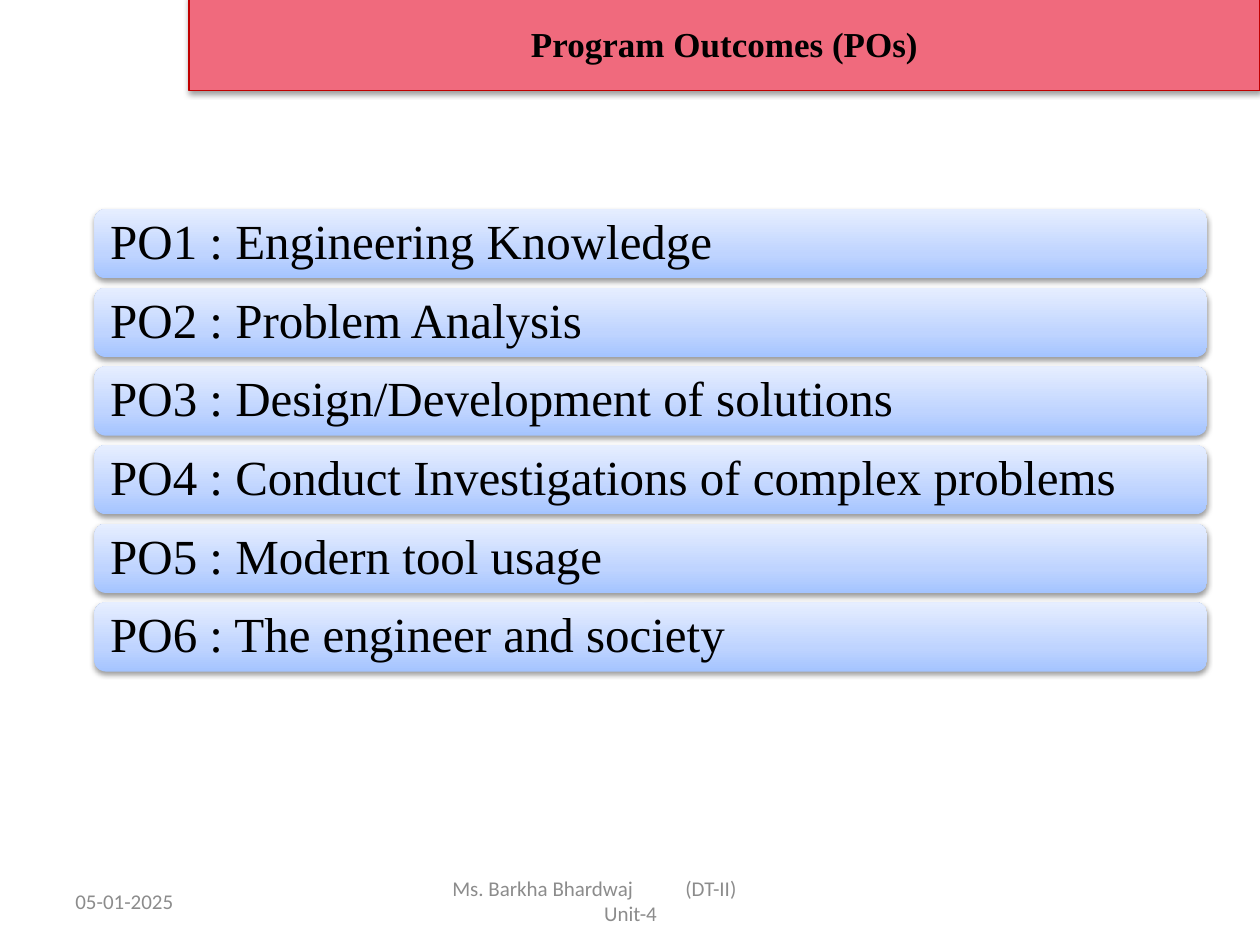
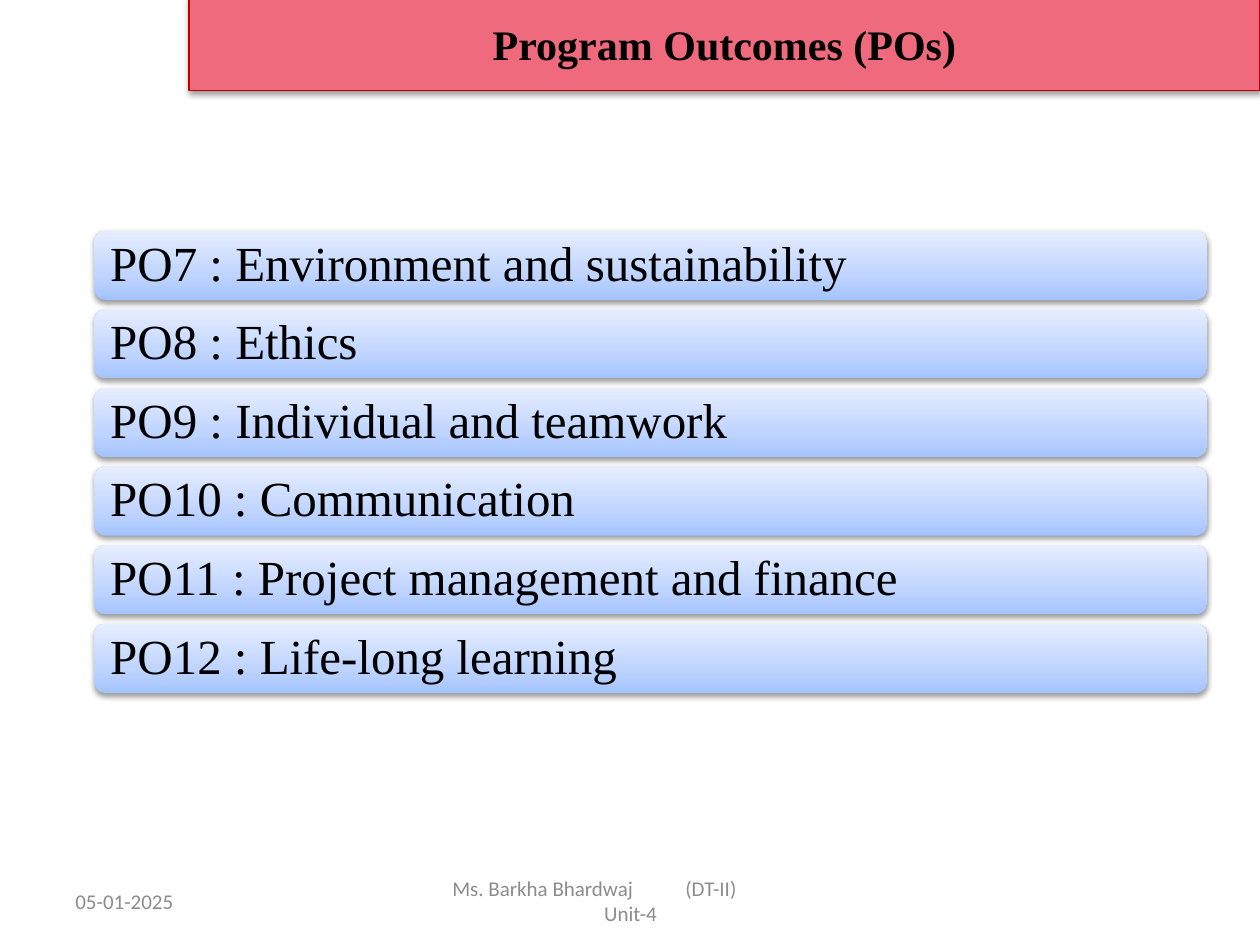
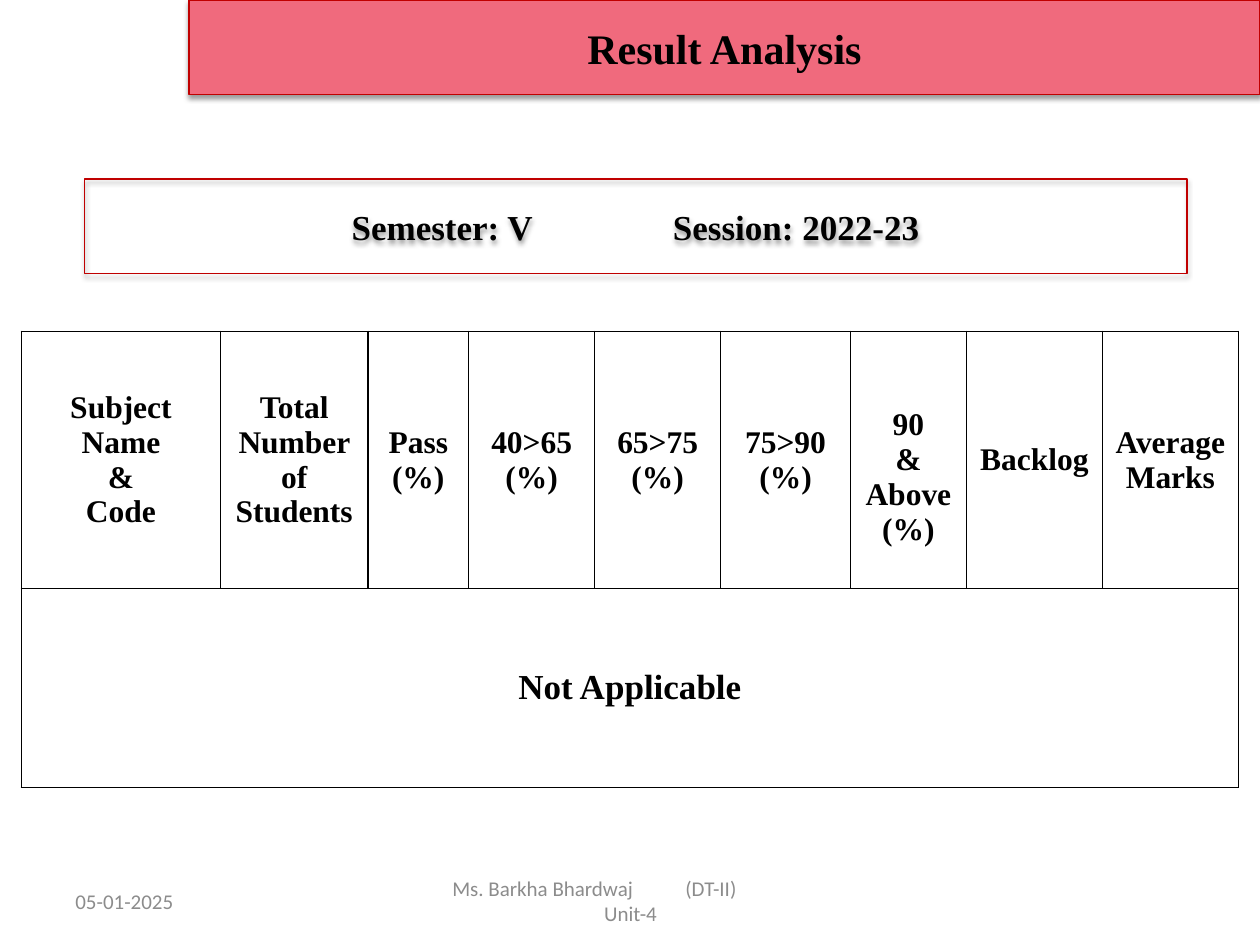
"""Build the program outcome and result analysis slides."""
from dataclasses import dataclass

from pptx import Presentation
from pptx.dml.color import RGBColor
from pptx.enum.shapes import MSO_SHAPE as Shape
from pptx.enum.text import MSO_ANCHOR as Anchor, PP_ALIGN as Align
from pptx.oxml import parse_xml
from pptx.oxml.ns import nsdecls, qn
from pptx.util import Inches, Pt


@dataclass(frozen=True)
class Theme:
    ink: str = "000000"
    muted: str = "8C8C8C"
    band: str = "F06A7D"
    edge: str = "C00000"
    bar_stops: tuple = ((0, "A4C4FF"), (35, "BFD4FF"), (100, "E6EEFF"))
    serif: str = "Times New Roman"
    sans: str = "Calibri"
    title: int = 24
    small_title: int = 20
    outcome: int = 28
    session: int = 20
    heading: int = 18
    footer: int = 12


theme = Theme()
A = nsdecls("a")


def write(frame, text, size, font=theme.serif, color=theme.ink, bold=False,
          align=Align.CENTER, spacing=None, tab=None):
    frame.word_wrap = True
    for number, line in enumerate(text.split("\n")):
        paragraph = frame.add_paragraph() if number else frame.paragraphs[0]
        if tab and "\t" in line:
            paragraph._p.get_or_add_pPr().append(parse_xml(
                f'<a:tabLst {A}><a:tab pos="{Inches(tab)}" algn="l"/></a:tabLst>'))
        paragraph.alignment = align
        if spacing:
            paragraph.line_spacing = spacing
        run = paragraph.add_run()
        run.text = line
        run.font.size = Pt(size)
        run.font.name = font
        run.font.bold = bold
        run.font.color.rgb = RGBColor.from_string(color)


def add_panel(slide, kind, left, top, width, height, fill=None, edge=None):
    panel = slide.shapes.add_shape(
        kind, Inches(left), Inches(top), Inches(width), Inches(height))
    if fill:
        panel.fill.solid()
        panel.fill.fore_color.rgb = RGBColor.from_string(fill)
    else:
        panel.fill.background()
    if edge:
        panel.line.color.rgb = RGBColor.from_string(edge)
        panel.line.width = Pt(0.75)
    else:
        panel.line.fill.background()
    panel.shadow.inherit = False
    panel._element.spPr.find(qn("a:effectLst")).append(parse_xml(
        f'<a:outerShdw {A} blurRad="{Pt(3.1)}" dist="{Pt(1.6)}" dir="5400000" '
        'rotWithShape="0"><a:srgbClr val="000000"><a:alpha val="38000"/>'
        '</a:srgbClr></a:outerShdw>'))
    panel.text_frame.vertical_anchor = Anchor.MIDDLE
    return panel


deck = Presentation()
deck.slide_width, deck.slide_height = Inches(10), Inches(7.5)

titles = [
    ("Program Outcomes (POs)", theme.small_title, -0.03),
    ("Program Outcomes (POs)", theme.title, -0.03),
    ("Result Analysis", theme.title, 0),
]
slides = []
for title, size, top in titles:
    slide = deck.slides.add_slide(deck.slide_layouts[6])
    slides.append(slide)
    band = add_panel(slide, Shape.RECTANGLE, 1.5, top, 8.5, 0.75, theme.band, theme.edge)
    write(band.text_frame, title, size, bold=True)

    author = slide.shapes.add_textbox(
        Inches(3.42), Inches(6.95), Inches(3.17), Inches(0.4)).text_frame
    author.vertical_anchor = Anchor.MIDDLE
    author.margin_left = author.margin_right = Inches(0.17)
    write(author, "Ms. Barkha Bhardwaj\t(DT-II)\nUnit-4", theme.footer,
          font=theme.sans, color=theme.muted, tab=1.85)
    author.paragraphs[0].alignment = Align.LEFT

    date = slide.shapes.add_textbox(
        Inches(0.5), Inches(6.95), Inches(2.33), Inches(0.4)).text_frame
    date.vertical_anchor = Anchor.MIDDLE
    write(date, "05-01-2025", theme.footer, font=theme.sans, color=theme.muted,
          align=Align.LEFT)

outcome_lists = [
    (1.66, ["Engineering Knowledge", "Problem Analysis",
            "Design/Development of solutions",
            "Conduct Investigations of complex problems",
            "Modern tool usage", "The engineer and society"]),
    (1.83, ["Environment and sustainability", "Ethics",
            "Individual and teamwork", "Communication",
            "Project management and finance", "Life-long learning"]),
]
list_height, bar_height = 3.67, 0.55
stops = "".join(f'<a:gs pos="{place * 1000}"><a:srgbClr val="{color}"/></a:gs>'
                for place, color in theme.bar_stops)
po_number = 1
for slide, (list_top, outcomes) in zip(slides, outcome_lists):
    pitch = (list_height - bar_height) / (len(outcomes) - 1)
    for row, outcome in enumerate(outcomes):
        bar = add_panel(slide, Shape.ROUNDED_RECTANGLE, 0.75,
                        list_top + row * pitch, 8.83, bar_height)
        properties = bar._element.spPr
        properties.replace(properties.find(qn("a:noFill")), parse_xml(
            f'<a:gradFill {A} rotWithShape="1"><a:gsLst>{stops}</a:gsLst>'
            '<a:lin ang="16200000" scaled="0"/></a:gradFill>'))
        bar.text_frame.margin_left = bar.text_frame.margin_right = Inches(0.1)
        write(bar.text_frame, f"PO{po_number} : {outcome}", theme.outcome,
              align=Align.LEFT, spacing=0.9)
        po_number += 1

session = add_panel(slides[2], Shape.RECTANGLE, 0.67, 1.42, 8.75, 0.75, edge=theme.edge)
session.text_frame.margin_left = Inches(2.12)
write(session.text_frame, "Semester: V\tSession: 2022-23", theme.session,
      bold=True, align=Align.LEFT, tab=2.55)

columns = [
    ("Subject Name\n&\nCode", 1.58),
    ("Total Number of Students", 1.17),
    ("Pass (%)", 0.8),
    ("40>65 (%)", 1),
    ("65>75 (%)", 1),
    ("75>90\n(%)", 1.03),
    ("90\n& Above (%)", 0.92),
    ("Backlog", 1.08),
    ("Average Marks", 1.08),
]
results = slides[2].shapes.add_table(
    2, len(columns), Inches(0.17), Inches(2.63), Inches(9.66), Inches(3.62)).table
results.first_row = results.horz_banding = False
results.rows[0].height, results.rows[1].height = Inches(2.04), Inches(1.58)
for column, (heading, width) in enumerate(columns):
    results.columns[column].width = Inches(width)
    write(results.cell(0, column).text_frame, heading, theme.heading, bold=True)
results.cell(0, 6).margin_top = Inches(0.33)
results.cell(1, 0).merge(results.cell(1, len(columns) - 1))
write(results.cell(1, 0).text_frame, "Not Applicable", theme.session, bold=True)
for cell in results.iter_cells():
    cell.vertical_anchor = Anchor.MIDDLE
    cell.fill.background()
    for place, side in enumerate(("lnL", "lnR", "lnT", "lnB")):
        cell._tc.get_or_add_tcPr().insert(place, parse_xml(
            f'<a:{side} {A} w="{Pt(1)}"><a:solidFill><a:srgbClr val="{theme.ink}"/>'
            f'</a:solidFill></a:{side}>'))

deck.save("out.pptx")
